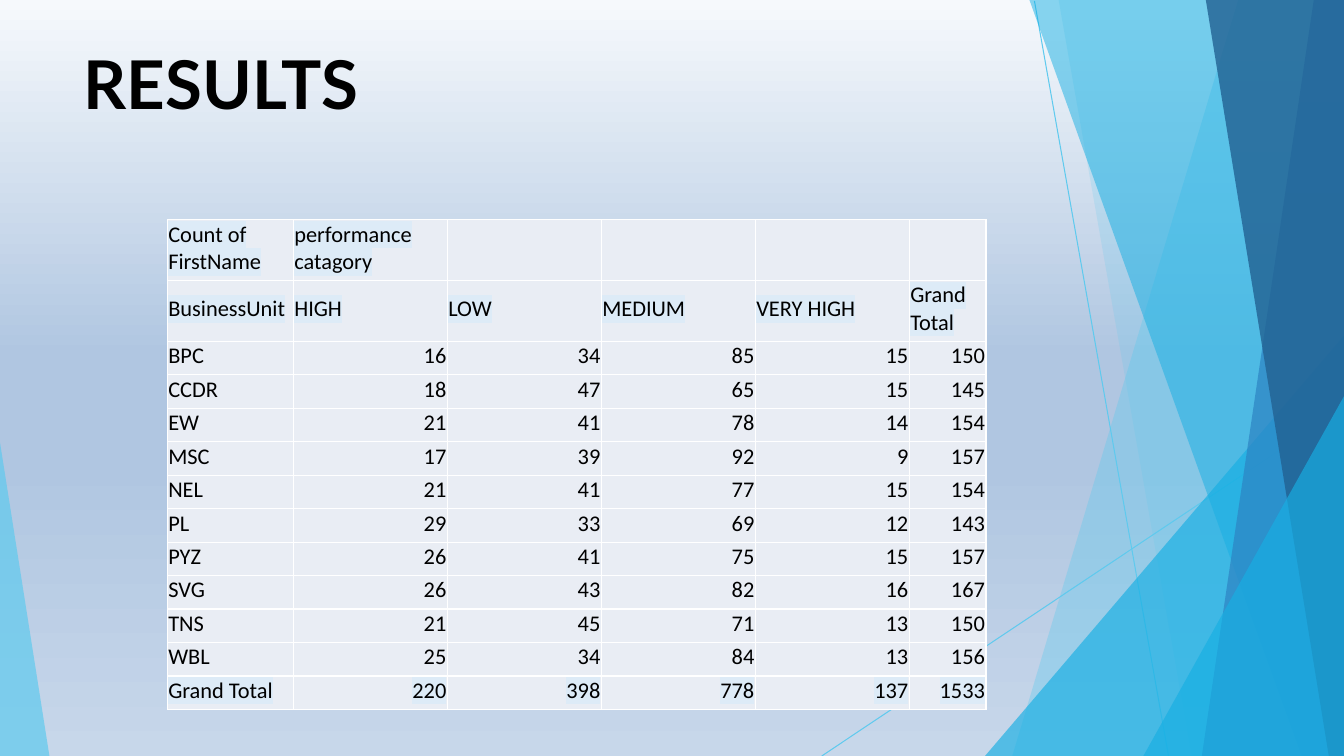
from dataclasses import dataclass

from lxml import etree
from pptx import Presentation
from pptx import util as u
from pptx.dml.color import RGBColor
from pptx.enum import text
from pptx.oxml.ns import qn

WIDTH, HEIGHT = 13.33, 7.5


@dataclass(frozen=True)
class Theme:
    black: str = "000000"
    white: str = "FFFFFF"
    sky: str = "5FCAEE"
    cyan: str = "17AFE3"
    blue: str = "2D83C3"
    navy: str = "226192"
    cell: str = "E9EDF4"
    highlight: str = "DDEBF7"
    backdrop: tuple = ((0, "F6F9FC"), (47, "B0C6E1"), (61, "B0C6E1"), (100, "C7D7EA"))
    title_font: str = "Lato"
    table_font: str = "Calibri"
    title_size: int = 48
    table_size: int = 16


def add_color(parent, color):
    """Append an sRGB colour element to an XML parent."""
    return etree.SubElement(parent, qn("a:srgbClr"), val=color)


def write(frame, words, *, font, size, color, bold=False, align=None, highlight=None):
    """Put one formatted run into a text frame."""
    paragraph = frame.paragraphs[0]
    paragraph.alignment = align
    run = paragraph.add_run()
    run.text = words
    run.font.name, run.font.size, run.font.bold = font, u.Pt(size), bold
    run.font.color.rgb = RGBColor.from_string(color)
    if highlight:
        mark = etree.Element(qn("a:highlight"))
        add_color(mark, highlight)
        run.font._element.find(qn("a:solidFill")).addnext(mark)


class ResultsSlide:
    def __init__(self, deck, theme):
        self.theme = theme
        self.slide = deck.slides.add_slide(deck.slide_layouts[5])

    def backdrop(self):
        self.slide.background.fill.gradient()
        gradient = self.slide.element.find(".//" + qn("a:gradFill"))
        for part in list(gradient):
            gradient.remove(part)
        stops = etree.SubElement(gradient, qn("a:gsLst"))
        for percent, color in self.theme.backdrop:
            add_color(etree.SubElement(stops, qn("a:gs"), pos=str(percent * 1000)), color)
        etree.SubElement(gradient, qn("a:lin"), ang="5400000", scaled="0")

    def ray(self, start, end):
        line = self.slide.shapes.add_connector(1, *map(u.Inches, start + end))
        line.line.color.rgb = RGBColor.from_string(self.theme.sky)
        line.line.width = u.Pt(0.75)
        etree.SubElement(line.element.spPr, qn("a:effectLst"))

    def facet(self, corners, color, opacity):
        points = [(u.Inches(x), u.Inches(y)) for x, y in corners]
        builder = self.slide.shapes.build_freeform(*points[0])
        builder.add_line_segments(points[1:], close=True)
        facet = builder.convert_to_shape()
        facet.shadow.inherit = False
        facet.line.fill.background()
        facet.fill.solid()
        facet.fill.fore_color.rgb = RGBColor.from_string(color)
        tint = facet.element.spPr.find(qn("a:solidFill"))[0]
        etree.SubElement(tint, qn("a:alpha"), val=str(opacity * 1000))

    def title(self, words, left, top, width, height):
        title = self.slide.shapes.title
        title.left, title.top = u.Inches(left), u.Inches(top)
        title.width, title.height = u.Inches(width), u.Inches(height)
        frame = title.text_frame
        frame.margin_left = frame.margin_top = frame.margin_right = frame.margin_bottom = 0
        frame.vertical_anchor = text.MSO_ANCHOR.TOP
        frame.word_wrap = True
        write(frame, words, font=self.theme.title_font, size=self.theme.title_size,
              color=self.theme.black, bold=True, align=text.PP_ALIGN.LEFT)

    def table(self, rows, left, top, widths, heights, marked_rows):
        grid = self.slide.shapes.add_table(
            len(rows), len(widths), u.Inches(left), u.Inches(top),
            u.Inches(sum(widths)), u.Inches(sum(heights))).table
        grid.first_row = grid.horz_banding = False
        for column, width in zip(grid.columns, widths):
            column.width = u.Inches(width)
        for r, (values, height) in enumerate(zip(rows, heights)):
            grid.rows[r].height = u.Inches(height)
            for c, value in enumerate(values):
                self.cell(grid.cell(r, c), value, r in marked_rows)

    def cell(self, cell, value, marked):
        properties = cell._tc.get_or_add_tcPr()
        for side in ("lnL", "lnR", "lnT", "lnB"):
            border = etree.SubElement(properties, qn("a:" + side), w=str(u.Pt(1)))
            add_color(etree.SubElement(border, qn("a:solidFill")), self.theme.white)
        cell.fill.solid()
        cell.fill.fore_color.rgb = RGBColor.from_string(self.theme.cell)
        cell.margin_left = cell.margin_top = cell.margin_right = u.Inches(0.01)
        cell.margin_bottom = u.Inches(0.05)
        cell.vertical_anchor = text.MSO_ANCHOR.MIDDLE
        if value != "":
            is_count = isinstance(value, int)
            write(cell.text_frame, str(value), font=self.theme.table_font,
                  size=self.theme.table_size, color=self.theme.black,
                  align=text.PP_ALIGN.RIGHT if is_count else text.PP_ALIGN.LEFT,
                  highlight=self.theme.highlight if marked else None)


RESULTS = [
    ("Count of FirstName", "performance catagory", "", "", "", ""),
    ("BusinessUnit", "HIGH", "LOW", "MEDIUM", "VERY HIGH", "Grand Total"),
    ("BPC", 16, 34, 85, 15, 150),
    ("CCDR", 18, 47, 65, 15, 145),
    ("EW", 21, 41, 78, 14, 154),
    ("MSC", 17, 39, 92, 9, 157),
    ("NEL", 21, 41, 77, 15, 154),
    ("PL", 29, 33, 69, 12, 143),
    ("PYZ", 26, 41, 75, 15, 157),
    ("SVG", 26, 43, 82, 16, 167),
    ("TNS", 21, 45, 71, 13, 150),
    ("WBL", 25, 34, 84, 13, 156),
    ("Grand Total", 220, 398, 778, 137, 1533),
]


def main():
    deck = Presentation()
    deck.slide_width, deck.slide_height = u.Inches(WIDTH), u.Inches(HEIGHT)
    theme = Theme()
    results = ResultsSlide(deck, theme)
    results.backdrop()

    # Thin rays behind the facets
    results.ray((10.26, 0.01), (11.59, HEIGHT))
    results.ray((WIDTH, 4.04), (8.15, HEIGHT))

    # Facets along the right edge: top corner, bottom corner, colour, opacity
    for upper, lower, color, opacity in (
        ((12.28, 0), 10.04, theme.sky, 36),
        ((10.5, 0), 11.82, theme.sky, 20),
        ((WIDTH, 3.33), 9.77, theme.cyan, 66),
        ((10.21, 0), 12.91, theme.cyan, 50),
        ((13.03, 0), 11.92, theme.blue, 70),
        ((11.96, 0), 13.18, theme.navy, 80),
        ((WIDTH, 3.93), 11.34, theme.cyan, 66),
    ):
        corners = [upper, (lower, HEIGHT), (WIDTH, HEIGHT)]
        if upper[0] < WIDTH:
            corners.append((WIDTH, 0))
        results.facet(corners, color, opacity)

    # Facet in the lower left corner
    results.facet([(0, 4.39), (0, HEIGHT), (0.49, HEIGHT)], theme.sky, 70)

    # Title and table
    results.title("RESULTS", 0.83, 0.42, 11.68, 0.83)
    table_width, table_height = 8.12, 4.76
    unit, total = 1.25, 0.76
    rating = (table_width - unit - total) / 4
    header, body_rows = 0.59, len(RESULTS) - 2
    body = (table_height - 2 * header) / body_rows
    results.table(RESULTS, 1.66, 2.18, [unit] + [rating] * 4 + [total],
                  [header] * 2 + [body] * body_rows,
                  marked_rows=(0, 1, len(RESULTS) - 1))
    deck.save("out.pptx")


if __name__ == "__main__":
    main()
